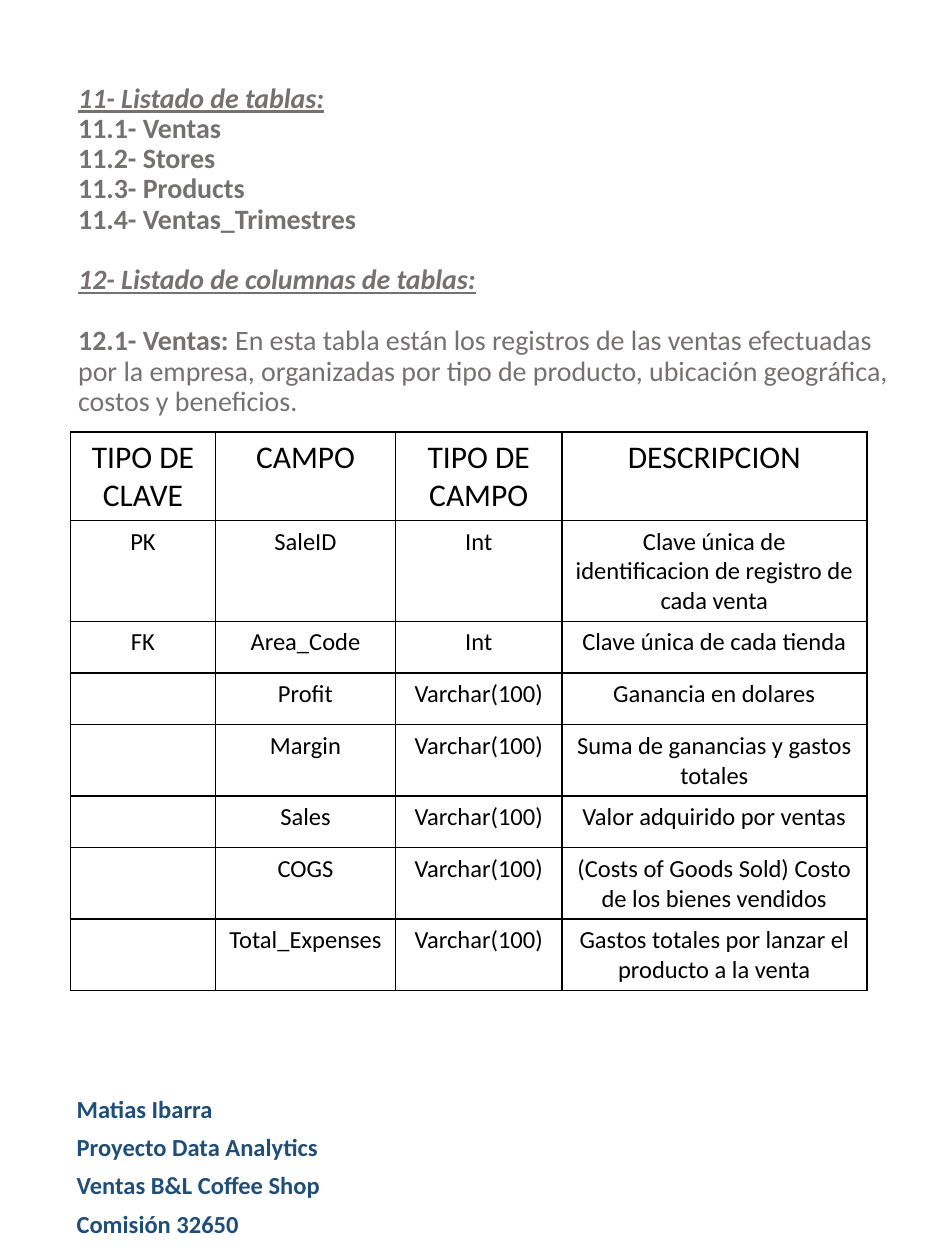
"""Build the slide that lists the tables and the columns of the Ventas table."""
from lxml import etree
from pptx import Presentation
from pptx.dml.color import RGBColor
from pptx.enum import text
from pptx.oxml import ns
from pptx.util import Inches, Pt

GREY = RGBColor(0x76, 0x71, 0x71)
BLUE = RGBColor(0x1F, 0x4E, 0x79)
BLACK = RGBColor(0, 0, 0)
FONT = "Calibri"


def set_font(font, size, color, bold=False):
    font.name, font.size, font.bold = FONT, Pt(size), bold
    font.color.rgb = color


def add_borders(cell):
    properties = cell._tc.get_or_add_tcPr()
    for side in ("lnL", "lnR", "lnT", "lnB"):
        line = etree.SubElement(properties, ns.qn(f"a:{side}"), w=str(Pt(1)))
        fill = etree.SubElement(line, ns.qn("a:solidFill"))
        etree.SubElement(fill, ns.qn("a:srgbClr"), val=str(BLACK))


prs = Presentation()
prs.slide_width, prs.slide_height = Inches(7.5), Inches(10)
slide = prs.slides.add_slide(prs.slide_layouts[5])

listing = slide.shapes.title
listing.left, listing.top = Inches(0.52), Inches(-0.58)
listing.width, listing.height = Inches(6.72), Inches(6.5)
frame = listing.text_frame
frame.auto_size = text.MSO_AUTO_SIZE.NONE
frame.vertical_anchor = text.MSO_ANCHOR.MIDDLE
frame.margin_bottom = Inches(1.41)

headings = ("11- Listado de tablas:", "12- Listado de columnas de tablas:")
intro = "12.1- Ventas:"
frame.text = "\n".join([
    headings[0],
    "11.1- Ventas",
    "11.2- Stores",
    "11.3- Products",
    "11.4- Ventas_Trimestres",
    headings[1],
    intro,
])
for paragraph in frame.paragraphs:
    paragraph.alignment = text.PP_ALIGN.LEFT
    paragraph.line_spacing = 0.9
    set_font(paragraph.font, 16, GREY, bold=True)
    if paragraph.text in headings:
        paragraph.font.italic = paragraph.font.underline = True
    if paragraph.text in (headings[1], intro):
        paragraph.space_before = Pt(17.5)
description = frame.paragraphs[-1].add_run()
description.text = (
    " En esta tabla están los registros de las ventas efectuadas por la empresa, "
    "organizadas por tipo de producto, ubicación geográfica, costos y beneficios."
)
description.font.bold = False

credits = slide.shapes.add_textbox(Inches(0.51), Inches(8.49), Inches(3.53), Inches(1.53)).text_frame
credits.word_wrap = True
credits.vertical_anchor = text.MSO_ANCHOR.MIDDLE
credits.text = "Matias Ibarra\nProyecto Data Analytics\nVentas B&L Coffee Shop\nComisión 32650"
for index, paragraph in enumerate(credits.paragraphs):
    paragraph.space_before = Pt(5 if index else 0)
    set_font(paragraph.font, 14, BLUE, bold=True)

amount = "Varchar(100)"
rows = [
    ("TIPO DE\nCLAVE", "CAMPO", "TIPO DE CAMPO", "DESCRIPCION"),
    ("PK", "SaleID", "Int", "Clave única de identificacion de registro de cada venta"),
    ("FK", "Area_Code", "Int", "Clave única de cada tienda"),
    ("", "Profit", amount, "Ganancia en dolares"),
    ("", "Margin", amount, "Suma de ganancias y gastos totales"),
    ("", "Sales", amount, "Valor adquirido por ventas"),
    ("", "COGS", amount, "(Costs of Goods Sold) Costo de los bienes vendidos"),
    ("", "Total_Expenses", amount, "Gastos totales por lanzar el producto a la venta"),
]
widths = (1.15, 1.43, 1.32, 2.42)
row_height = 0.41
columns = slide.shapes.add_table(
    len(rows), len(widths), Inches(0.56), Inches(3.43),
    Inches(sum(widths)), Inches(row_height * len(rows)),
).table
columns.first_row = columns.horz_banding = False
for column, width in zip(columns.columns, widths):
    column.width = Inches(width)
for row_index, row in enumerate(rows):
    columns.rows[row_index].height = Inches(row_height)
    for column_index, value in enumerate(row):
        cell = columns.cell(row_index, column_index)
        add_borders(cell)
        cell.fill.background()
        if not value:
            continue
        cell.text = value
        for paragraph in cell.text_frame.paragraphs:
            paragraph.alignment = text.PP_ALIGN.CENTER
            set_font(paragraph.font, 14 if row_index else 18, BLACK)

prs.save("out.pptx")
